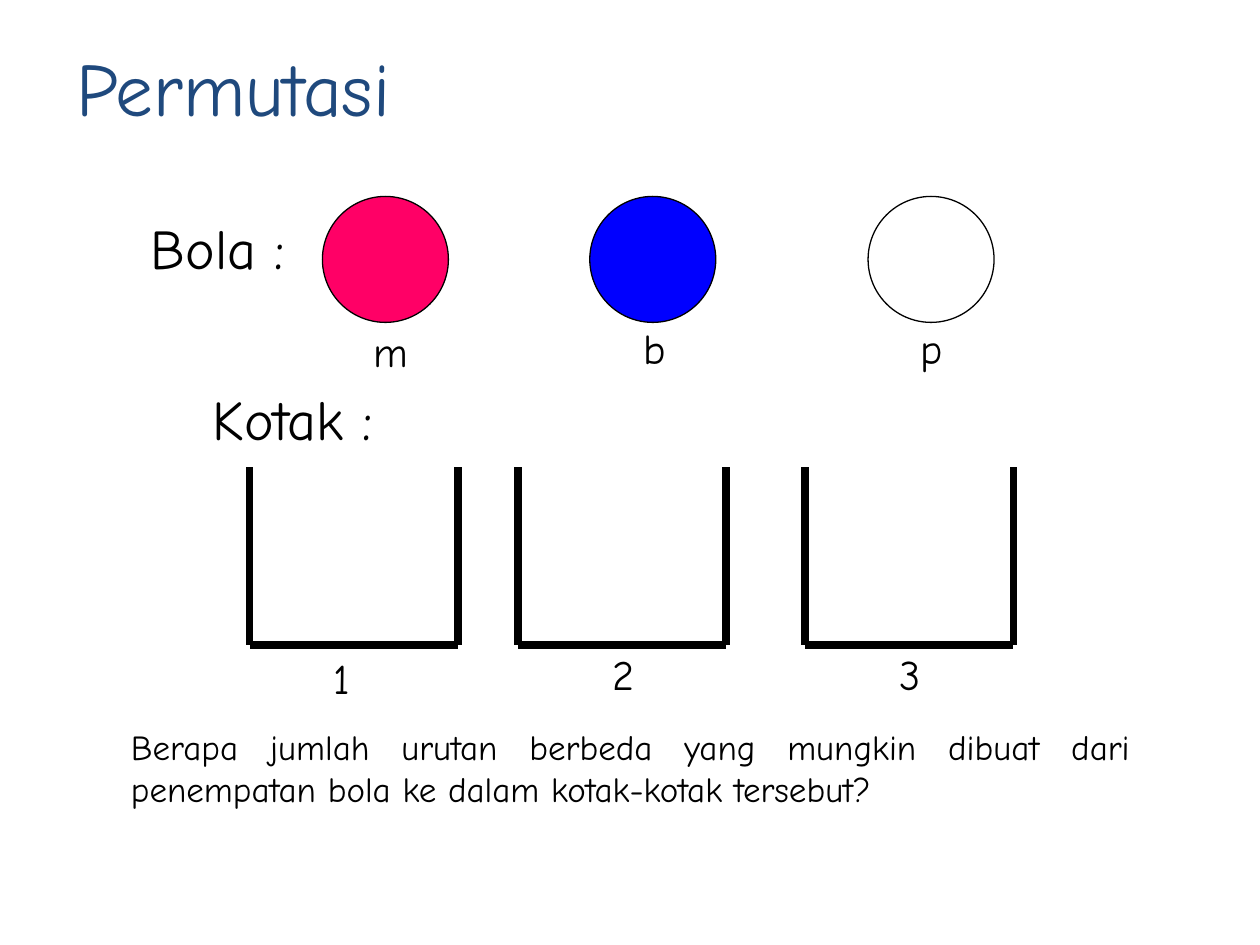
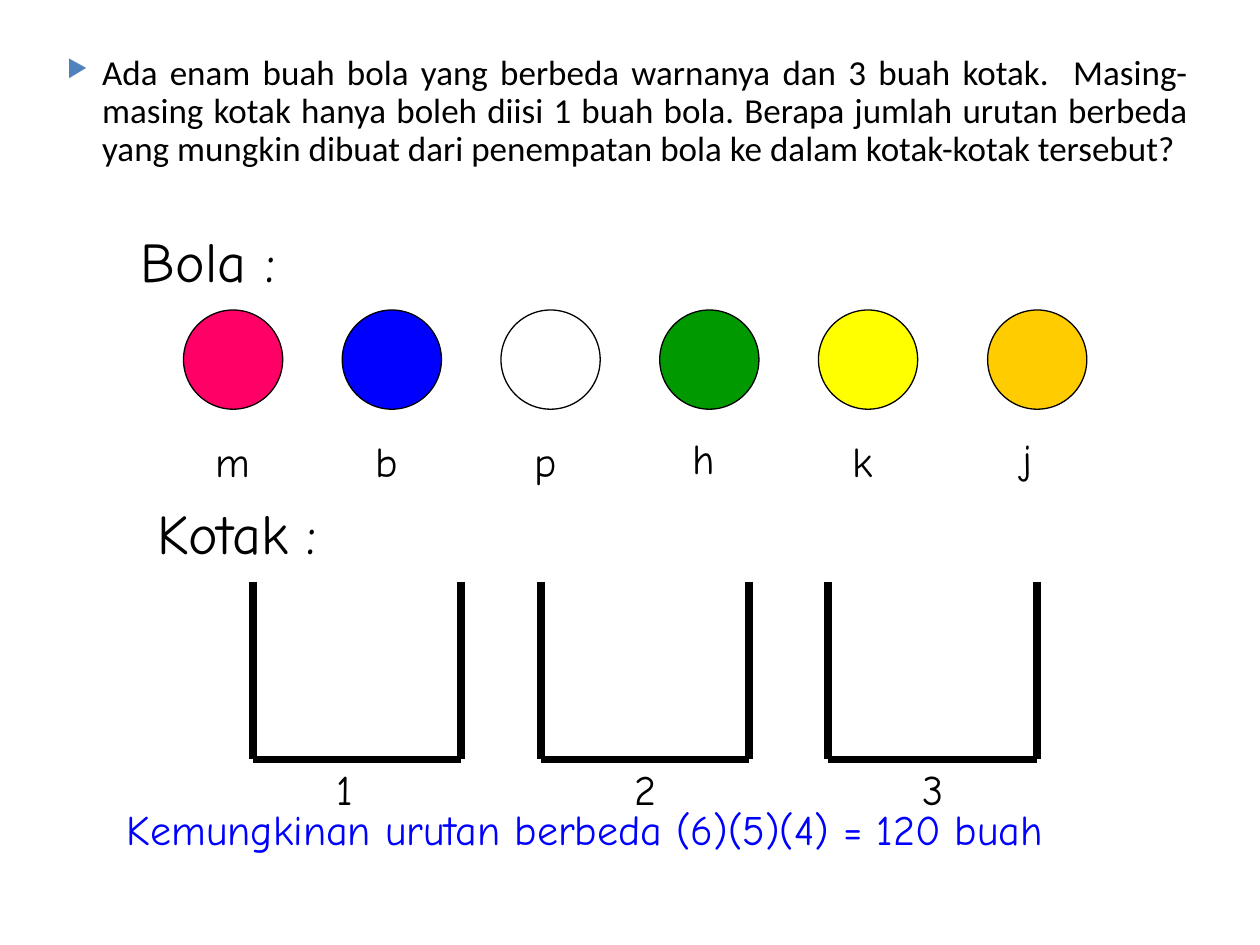
from lxml.etree import SubElement
from pptx import Presentation
from pptx.dml.color import RGBColor
from pptx.enum.shapes import MSO_CONNECTOR, MSO_SHAPE
from pptx.enum.text import MSO_ANCHOR, PP_ALIGN
from pptx.oxml.ns import qn
from pptx.util import Cm, Pt

BLACK = RGBColor(0x00, 0x00, 0x00)
WHITE = RGBColor(0xFF, 0xFF, 0xFF)
NAVY = RGBColor(0x1F, 0x49, 0x7D)
RED = RGBColor(0xFF, 0x00, 0x66)
BLUE = RGBColor(0x00, 0x00, 0xFF)
GREEN = RGBColor(0x00, 0x99, 0x00)
YELLOW = RGBColor(0xFF, 0xFF, 0x00)
ORANGE = RGBColor(0xFF, 0xCC, 0x00)
BULLET_HEX = "4F81BD"

# Text formats: size in points, typeface
TITLE = {"size": Pt(43), "name": "Comic Neue"}
HEADING = {"size": Pt(32), "name": "Comic Neue"}
LABEL = {"size": Pt(24), "name": "Comic Neue"}
QUESTION = {"size": Pt(20), "name": "Comic Neue"}
BODY = {"size": Pt(20), "name": "Calibri"}

# Box size and text heights in cm
BOX_W, BOX_H = 4.2, 3.58
LABEL_H, HEADING_H = 1.27, 1.62
LABEL_WIDTHS = {"m": 1.2, "k": 0.92, "j": 0.7, "1": 0.85}


def set_attrs(obj, values):
    for name, value in values.items():
        setattr(obj, name, value)


def add_text(s, text, x, y, w, h, font, color=BLACK, wrap=False,
             align=PP_ALIGN.LEFT, anchor=MSO_ANCHOR.TOP):
    tf = s.shapes.add_textbox(Cm(x), Cm(y), Cm(w), Cm(h)).text_frame
    set_attrs(tf, {"word_wrap": wrap, "vertical_anchor": anchor})
    p = tf.paragraphs[0]
    p.alignment = align
    r = p.add_run()
    r.text = text
    set_attrs(r.font, font)
    r.font.color.rgb = color
    return p


def add_heading(s, text, x, y, w):
    add_text(s, text, x, y, w, HEADING_H, HEADING)


def add_label(s, text, x, y):
    add_text(s, text, x, y, LABEL_WIDTHS.get(text, 0.95), LABEL_H, LABEL)


def add_bullet(p):
    pPr = p._p.get_or_add_pPr()
    pPr.set("marL", str(Cm(1.02)))
    pPr.set("indent", str(Cm(-0.71)))
    SubElement(SubElement(pPr, qn("a:buClr")), qn("a:srgbClr"), val=BULLET_HEX)
    SubElement(pPr, qn("a:buSzPct"), val="68000")
    SubElement(pPr, qn("a:buChar"), char="▶")
    p.line_spacing = 0.9


def add_ball(s, x, y, d, color):
    sp = s.shapes.add_shape(MSO_SHAPE.OVAL, Cm(x), Cm(y), Cm(d), Cm(d))
    sp.shadow.inherit = False
    sp.fill.solid()
    sp.fill.fore_color.rgb = color
    sp.line.color.rgb = BLACK
    sp.line.width = Pt(0.75)


def add_open_box(s, x, y):
    """Draw left side, floor and right side of a box without a lid."""
    right, floor = x + BOX_W, y + BOX_H
    corners = [(x, y), (x, floor), (right, floor), (right, y)]
    for (x1, y1), (x2, y2) in zip(corners, corners[1:]):
        line = s.shapes.add_connector(
            MSO_CONNECTOR.STRAIGHT, Cm(x1), Cm(y1), Cm(x2), Cm(y2))
        line.line.color.rgb = BLACK
        line.line.width = Pt(4.5)
        SubElement(line._element.spPr, qn("a:effectLst"))


def add_balls(s, y, d, balls):
    """Each ball: left, colour, letter, left and top of the letter."""
    for x, color, letter, label_x, label_y in balls:
        add_ball(s, x, y, d, color)
        add_label(s, letter, label_x, label_y)


def add_boxes(s, y, boxes):
    """Each box: left, number, left and top of the number."""
    for x, number, label_x, label_y in boxes:
        add_open_box(s, x, y)
        add_label(s, number, label_x, label_y)


def build_three_balls(s):
    add_text(s, "Permutasi", 1.3, 0.71, 11.46, 2.08, TITLE, NAVY,
             wrap=True, anchor=MSO_ANCHOR.MIDDLE)

    # Balls
    add_heading(s, "Bola :", 2.79, 4.17, 3.23)
    add_balls(s, 3.96, 2.54, [
        (6.5, RED, "m", 7.29, 6.43),
        (11.89, BLUE, "b", 12.73, 6.38),
        (17.5, WHITE, "p", 18.31, 6.38),
    ])

    # Boxes
    add_heading(s, "Kotak :", 4.04, 7.62, 3.76)
    add_boxes(s, 9.42, [
        (5.03, "1", 6.48, 13.03),
        (10.44, "2", 12.09, 12.95),
        (16.23, "3", 17.88, 12.95),
    ])

    # Question
    add_text(s, "Berapa jumlah urutan berbeda yang mungkin dibuat dari "
             "penempatan bola ke dalam kotak-kotak tersebut?",
             2.39, 14.5, 20.65, 1.96, QUESTION, wrap=True,
             align=PP_ALIGN.JUSTIFY, anchor=MSO_ANCHOR.MIDDLE)


def build_six_balls(s):
    # Balls
    add_heading(s, "Bola :", 2.59, 4.45, 3.23)
    add_balls(s, 6.25, 2, [
        (3.7, RED, "m", 4.09, 8.66),
        (6.9, BLUE, "b", 7.32, 8.66),
        (10.1, WHITE, "p", 10.52, 8.66),
        (13.3, GREEN, "h", 13.72, 8.59),
        (16.5, YELLOW, "k", 16.94, 8.66),
        (19.91, ORANGE, "j", 20.37, 8.59),
    ])

    # Boxes
    add_heading(s, "Kotak :", 2.92, 9.93, 3.76)
    add_boxes(s, 11.73, [
        (5.1, "1", 6.53, 15.27),
        (10.9, "2", 12.55, 15.27),
        (16.7, "3", 18.34, 15.27),
    ])

    # Answer and question
    add_text(s, "Kemungkinan urutan berbeda (6)(5)(4) = 120 buah",
             2.31, 16.08, 19, LABEL_H, LABEL, BLUE)
    p = add_text(s, "Ada enam buah bola yang berbeda warnanya dan 3 buah "
                 "kotak.  Masing-masing kotak hanya boleh diisi 1 buah bola. "
                 "Berapa jumlah urutan berbeda yang mungkin dibuat dari "
                 "penempatan bola ke dalam kotak-kotak tersebut?",
                 0.79, 0.99, 23.42, 3.61, BODY, wrap=True,
                 align=PP_ALIGN.JUSTIFY)
    add_bullet(p)


def main():
    prs = Presentation()
    set_attrs(prs, {"slide_width": Cm(25.4), "slide_height": Cm(19.05)})
    for build in (build_three_balls, build_six_balls):
        build(prs.slides.add_slide(prs.slide_layouts[6]))
    prs.save("out.pptx")


if __name__ == "__main__":
    main()
